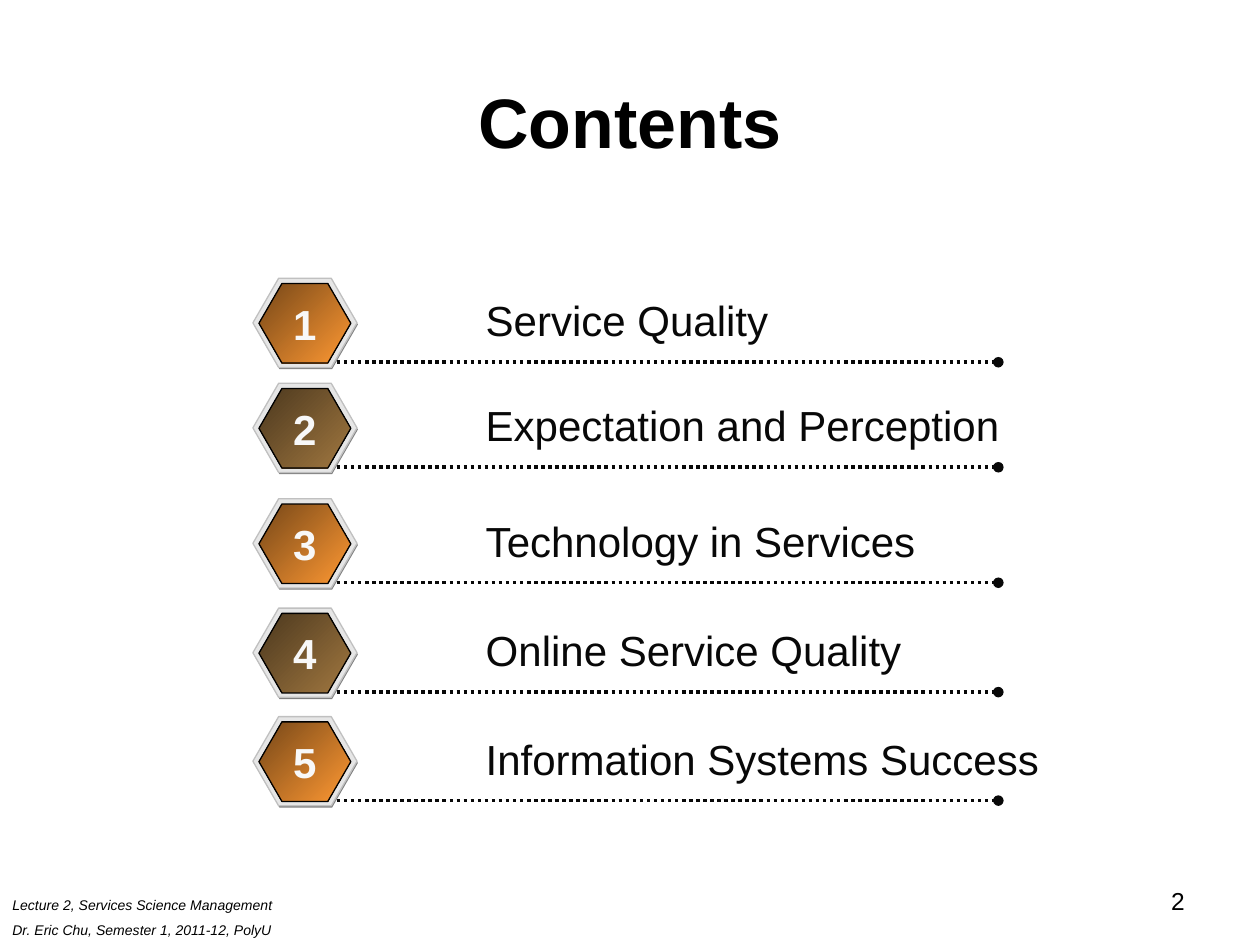
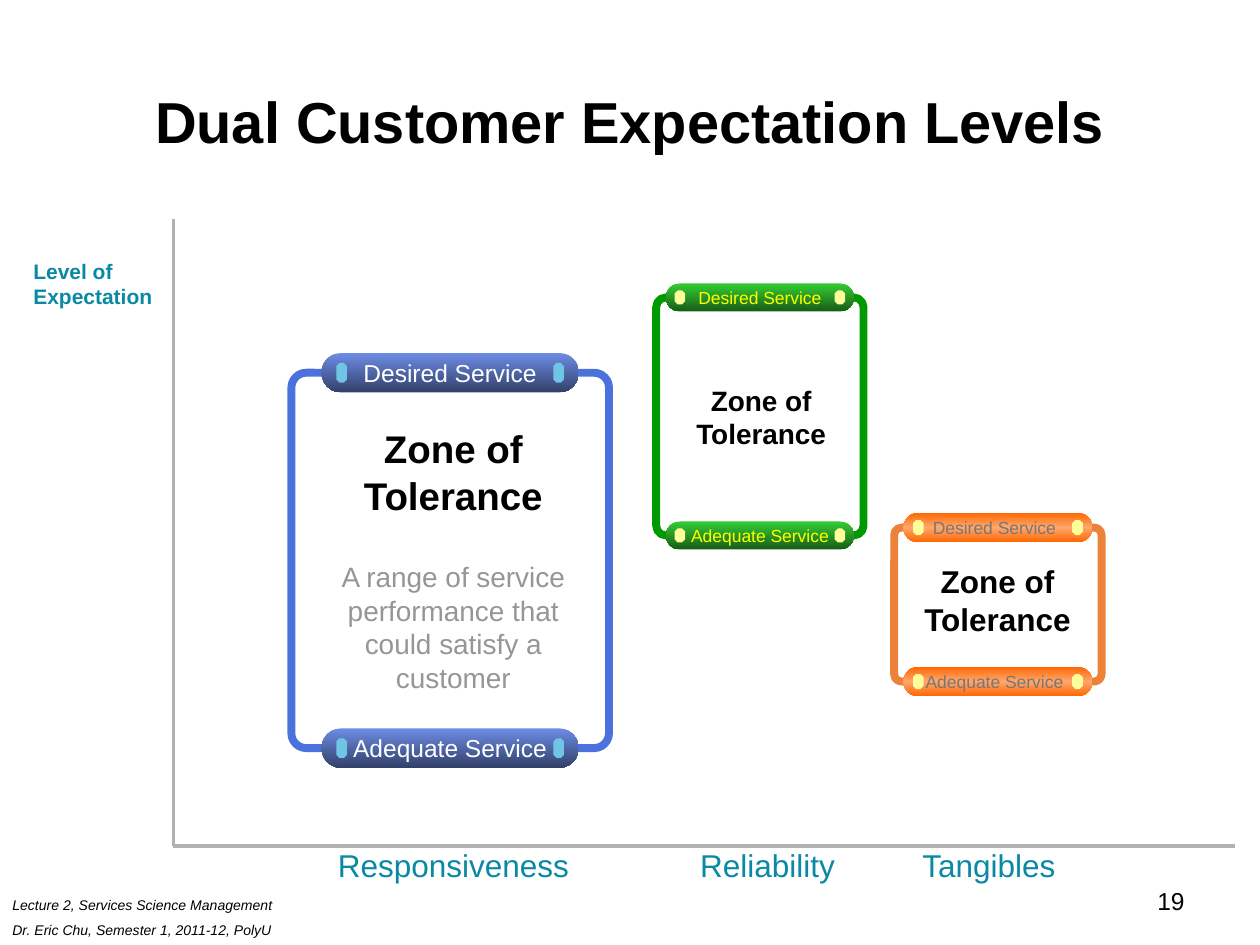
import pptx
import pptx.util
import pptx.dml.color
import pptx.enum.dml
import pptx.enum.shapes
import pptx.enum.text
import pptx.oxml.ns
from lxml import etree

Pt = pptx.util.Pt
SHAPE = pptx.enum.shapes.MSO_SHAPE
ALIGN = pptx.enum.text.PP_ALIGN
MIDDLE = pptx.enum.text.MSO_ANCHOR.MIDDLE
qn = pptx.oxml.ns.qn

FONT = "Arial"
BLACK, INK, TEAL, AXIS_GRAY = "000000", "080808", "0989A3", "B2B2B2"
ORANGE, BROWN = ["764718", "FF9933"], ["4B381E", "A27840"]
FOOTER = ["Lecture 2, Services Science Management",
          "Dr. Eric Chu, Semester 1, 2011-12, PolyU"]
TOPICS = [("Service Quality", 159), ("Expectation and Perception", 219),
          ("Technology in Services", 285), ("Online Service Quality", 347.5),
          ("Information Systems Success", 409.5)]
ZONES = [
    dict(box=(166.5, 213, 181.5, 214.5), edge="4B71DD", bar=(147, 22.5),
         shades=["6D8CE5", "32416A"], peg="6FC5E3", peg_inset=8.5,
         label_size=14, label_color="FFFFFF", heading_box=(8.5, 26.5, 168),
         heading_size=22,
         detail="A range of service performance that could satisfy a customer"),
    dict(box=(375, 170, 118.5, 136), edge="009900", bar=(107.5, 16),
         shades=["33CC33", "185E18"], peg="FFFF99", peg_inset=5,
         label_size=10, label_color="FFFF00", heading_box=(3, 45.5, 114),
         heading_size=16),
    dict(box=(511, 301.5, 118.5, 88), edge="EC823A", bar=(108, 17),
         shades=["FF6600", "FFA76C", "FF6600"], peg="FFFF99", peg_inset=5.5,
         label_size=10, label_color="777777", label_shift=2,
         heading_box=(5.5, 16, 107), heading_size=18),
]
DIMENSIONS = [("Responsiveness", 186, 160), ("Reliability", 393, 110),
              ("Tangibles", 520, 110)]


def rgb(color):
    return pptx.dml.color.RGBColor.from_string(color)


def write(frame, text, size=24, color=BLACK, bold=False, italic=False,
          align=ALIGN.LEFT, before=0):
    """Add one paragraph, using the frame's first one while it is empty."""
    paragraph = frame.paragraphs[0]
    if paragraph.runs:
        paragraph = frame.add_paragraph()
    paragraph.alignment = align
    paragraph.space_before = Pt(before)
    run = paragraph.add_run()
    run.text = text
    font = run.font
    font.name, font.size, font.bold, font.italic = FONT, Pt(size), bold, italic
    font.color.rgb = rgb(color)


def text_frame(slide, left, top, width, height):
    frame = slide.shapes.add_textbox(*map(Pt, (left, top, width, height))).text_frame
    frame.word_wrap = True
    return frame


def add_preset(slide, kind, left, top, width, height, shades=(), angle=0,
               edge=None, weight=0.75, adjust=None):
    """Draw a preset shape; several shades make an evenly spaced gradient."""
    shape = slide.shapes.add_shape(kind, *map(Pt, (left, top, width, height)))
    shape.shadow.inherit = False
    if adjust is not None:
        shape.adjustments[0] = adjust
    if not shades:
        shape.fill.background()
    elif len(shades) == 1:
        shape.fill.solid()
        shape.fill.fore_color.rgb = rgb(shades[0])
    else:
        shape.fill.gradient()
        shape.fill.gradient_angle = 360 - angle
        stops = next(shape._element.spPr.iter(qn("a:gsLst")))
        for stop in list(stops):
            stops.remove(stop)
        for i, shade in enumerate(shades):
            stop = etree.SubElement(stops, qn("a:gs"),
                                    pos=str(100000 * i // (len(shades) - 1)))
            etree.SubElement(stop, qn("a:srgbClr"), val=shade)
    if edge:
        shape.line.color.rgb = rgb(edge)
        shape.line.width = Pt(weight)
    else:
        shape.line.fill.background()
    return shape


def center_label(shape, text, shift=0, **style):
    """Centre text in a shape, moved left by shift."""
    frame = shape.text_frame
    frame.margin_left = frame.margin_top = frame.margin_bottom = 0
    frame.margin_right = Pt(2 * shift)
    frame.vertical_anchor = MIDDLE
    write(frame, text, align=ALIGN.CENTER, **style)


def add_line(slide, x1, y1, x2, y2, color, weight):
    line = slide.shapes.add_connector(
        pptx.enum.shapes.MSO_CONNECTOR.STRAIGHT, *map(Pt, (x1, y1, x2, y2)))
    line.line.color.rgb = rgb(color)
    line.line.width = Pt(weight)
    etree.SubElement(line._element.spPr, qn("a:effectLst"))
    return line


def add_titled_slide(deck, title, title_size, page):
    slide = deck.slides.add_slide(deck.slide_layouts[5])
    heading = slide.shapes.title
    heading.left, heading.top, heading.width, heading.height = map(Pt, (36, 24, 648, 90))
    heading.text_frame.vertical_anchor = MIDDLE
    write(heading.text_frame, title, size=title_size, bold=True, align=ALIGN.CENTER)
    footer = text_frame(slide, 0, 508.5, 180, 31.5)
    for i, line in enumerate(FOOTER):
        write(footer, line, size=8, italic=True, before=5 if i else 0)
    number = text_frame(slide, 516, 502.5, 168, 37.5)
    write(number, page, size=14, align=ALIGN.RIGHT)
    return slide


def add_topic(slide, left, top, number, topic):
    width, height = 59.5, 51
    shades = ORANGE if number % 2 else BROWN
    add_preset(slide, SHAPE.HEXAGON, left + 0.5, top + 1, width, height,
               ["808080"], adjust=0.289)
    add_preset(slide, SHAPE.HEXAGON, left, top, width, height,
               ["E6E6E6"], edge="C0C0C0", adjust=0.289)
    face = add_preset(slide, SHAPE.HEXAGON, left + 3.5, top + 3, 52.5, 45.5,
                      shades, angle=45, edge=BLACK, adjust=0.289)
    center_label(face, str(number), color="F8F8F8", bold=True)
    rule = add_line(slide, left + 48, top + 48, left + 426, top + 48, INK, 2)
    rule.line.dash_style = pptx.enum.dml.MSO_LINE.ROUND_DOT
    etree.SubElement(rule.line._get_or_add_ln(), qn("a:tailEnd"), type="oval")
    write(text_frame(slide, left + 126, top + 6, 360, 36), topic, color=INK)


def add_zone(slide, box, edge, bar, shades, peg, peg_inset, label_size,
             label_color, heading_box, heading_size, label_shift=0, detail=None):
    """Frame a tolerance zone, with a capsule centred on its top and bottom edge."""
    left, top, width, height = box
    bar_width, bar_height = bar
    peg_width, peg_height = 6, bar_height / 2
    add_preset(slide, SHAPE.ROUNDED_RECTANGLE, *box, edge=edge, weight=4.5, adjust=0.047)
    bar_left = left + (width - bar_width) / 2
    for label, level in (("Desired Service", top), ("Adequate Service", top + height)):
        capsule = add_preset(slide, SHAPE.ROUNDED_RECTANGLE, bar_left,
                             level - bar_height / 2, bar_width, bar_height,
                             shades, angle=90, adjust=0.5)
        center_label(capsule, label, label_shift, size=label_size, color=label_color)
        for inset in (peg_inset, bar_width - peg_inset - peg_width):
            add_preset(slide, SHAPE.OCTAGON, bar_left + inset, level - peg_height / 2,
                       peg_width, peg_height, [peg], adjust=0.293)
    dx, dy, text_width = heading_box
    frame = text_frame(slide, left + dx, top + dy, text_width, height - 2 * dy)
    write(frame, "Zone of Tolerance", size=heading_size, bold=True, align=ALIGN.CENTER)
    if detail:
        write(frame, detail, size=16, color="969696", align=ALIGN.CENTER, before=24)


def add_axes(slide, left, top, right, bottom):
    add_line(slide, left, top, left, bottom, AXIS_GRAY, 1.8)
    add_line(slide, left, bottom, right, bottom, AXIS_GRAY, 1.8)
    level = text_frame(slide, left - 87, top + 19, 100, 36)
    for line in ("Level of", "Expectation"):
        write(level, line, size=12, color=TEAL, bold=True)
    for dimension, x, width in DIMENSIONS:
        write(text_frame(slide, x, bottom - 3.5, width, 29), dimension, size=18, color=TEAL)


def main():
    deck = pptx.Presentation()
    deck.slide_width, deck.slide_height = Pt(720), Pt(540)

    contents = add_titled_slide(deck, "Contents", 40, "2")
    for number, (topic, top) in enumerate(TOPICS, 1):
        add_topic(contents, 144.5, top, number, topic)

    levels = add_titled_slide(deck, "Dual Customer Expectation Levels", 33, "19")
    add_axes(levels, 99, 125, 705.5, 483.5)
    for zone in ZONES:
        add_zone(levels, **zone)

    deck.save("out.pptx")


if __name__ == "__main__":
    main()
